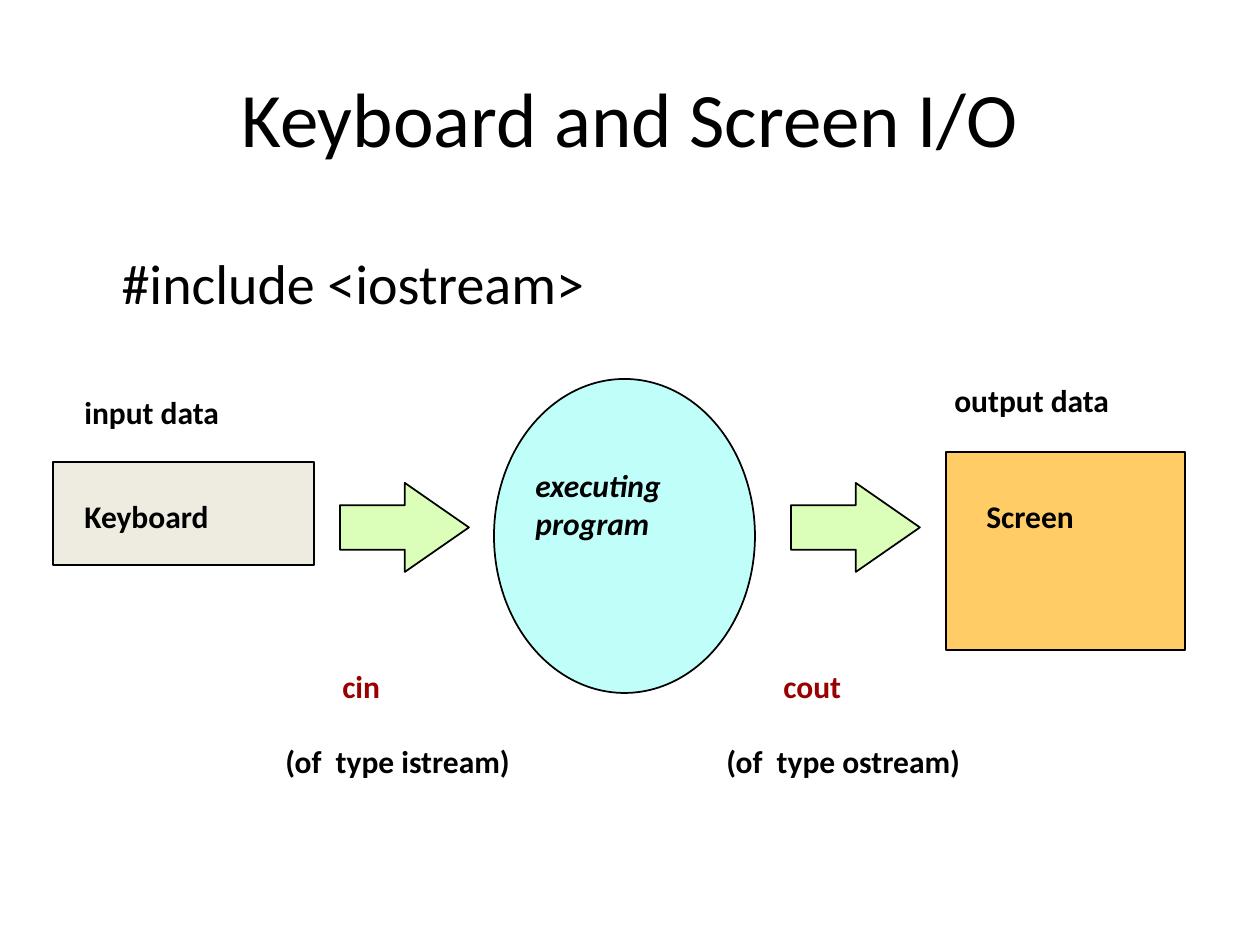
from typing import NamedTuple

from pptx import Presentation
from pptx.dml.color import RGBColor
from pptx.enum.shapes import MSO_SHAPE
from pptx.enum.text import MSO_ANCHOR, MSO_AUTO_SIZE, PP_ALIGN
from pptx.util import Pt

PX = 914400 // 126
FONT = "Calibri"
BLACK = RGBColor(0x00, 0x00, 0x00)
RED = RGBColor(0x99, 0x00, 0x00)
CYAN = RGBColor(0xC0, 0xFE, 0xF9)
CREAM = RGBColor(0xEE, 0xEC, 0xE1)
AMBER = RGBColor(0xFF, 0xCC, 0x66)
GREEN = RGBColor(0xDB, 0xFF, 0xB8)
OVAL = MSO_SHAPE.OVAL
RECT = MSO_SHAPE.RECTANGLE
ARROW = MSO_SHAPE.RIGHT_ARROW


class Box(NamedTuple):
    left: int
    top: int
    width: int
    height: int

    def emu(self) -> list[int]:
        return [side * PX for side in self]


class Node(NamedTuple):
    kind: int
    box: Box
    fill: RGBColor


class Label(NamedTuple):
    text: str
    box: Box
    italic: bool = False


class Stream(NamedTuple):
    name: str
    kind: str
    box: Box


NODES = [
    Node(OVAL, Box(494, 379, 261, 314), CYAN),
    Node(RECT, Box(53, 462, 261, 103), CREAM),
    Node(RECT, Box(946, 452, 239, 198), AMBER),
    Node(ARROW, Box(340, 483, 129, 89), GREEN),
    Node(ARROW, Box(791, 483, 129, 89), GREEN),
]
LABELS = [
    Label("Keyboard", Box(72, 491, 219, 63)),
    Label("Screen", Box(974, 491, 165, 63)),
    Label("executing\nprogram", Box(523, 460, 222, 113), True),
    Label("input data", Box(72, 387, 226, 63)),
    Label("output data", Box(942, 375, 255, 63)),
]
STREAMS = [
    Stream("cin", "(of  type istream)", Box(273, 661, 364, 164)),
    Stream("cout", "(of  type ostream)", Box(714, 661, 378, 164)),
]


def style(para, size: int, color=BLACK, bold=False, italic=False) -> None:
    for run in para.runs:
        font = run.font
        font.name, font.size = FONT, Pt(size)
        font.bold, font.italic = bold, italic
        font.color.rgb = color


def indent(para, left: int) -> None:
    props = para._p.get_or_add_pPr()
    props.set("marL", str(left * PX))
    props.set("indent", "0")


def fill_holder(shape, box: Box, text: str, size: int, anchor):
    shape.left, shape.top, shape.width, shape.height = box.emu()
    frame = shape.text_frame
    frame.text = text
    frame.auto_size = MSO_AUTO_SIZE.NONE
    frame.vertical_anchor = anchor
    para = frame.paragraphs[0]
    para.space_before = Pt(0)
    style(para, size)
    return para


def draw_node(slide, node: Node) -> None:
    shape = slide.shapes.add_shape(node.kind, *node.box.emu())
    shape.shadow.inherit = False
    shape.fill.solid()
    shape.fill.fore_color.rgb = node.fill
    shape.line.color.rgb = BLACK
    shape.line.width = Pt(1)
    if node.kind == ARROW:
        shape.adjustments[1] = 0.72


def add_text(slide, box: Box, text: str):
    frame = slide.shapes.add_textbox(*box.emu()).text_frame
    frame.word_wrap = True
    frame.text = text
    return frame.paragraphs


def draw_label(slide, label: Label) -> None:
    for para in add_text(slide, label.box, label.text):
        style(para, 18, bold=True, italic=label.italic)


def draw_stream(slide, stream: Stream) -> None:
    name, kind = add_text(slide, stream.box, f"{stream.name}\n{stream.kind}")
    indent(name, 57)
    style(name, 18, RED, bold=True)
    kind.space_before = Pt(21)
    style(kind, 18, bold=True)


def main() -> None:
    deck = Presentation()
    deck.slide_width, deck.slide_height = 1260 * PX, 945 * PX
    slide = deck.slides.add_slide(deck.slide_layouts[1])

    # Title and include line
    title, body = slide.placeholders
    head = fill_holder(title, Box(63, 38, 1134, 157),
                       "Keyboard and Screen I/O", 44, MSO_ANCHOR.MIDDLE)
    head.alignment = PP_ALIGN.CENTER
    code = fill_holder(body, Box(84, 242, 829, 94),
                       "#include <iostream>", 32, MSO_ANCHOR.TOP)
    indent(code, 25)
    props = code._p.get_or_add_pPr()
    props.append(props.makeelement(
        "{http://schemas.openxmlformats.org/drawingml/2006/main}buNone", {}))

    # Data flow from keyboard to screen
    for node in NODES:
        draw_node(slide, node)
    for label in LABELS:
        draw_label(slide, label)

    # Stream names and types
    for stream in STREAMS:
        draw_stream(slide, stream)

    deck.save("out.pptx")


if __name__ == "__main__":
    main()
